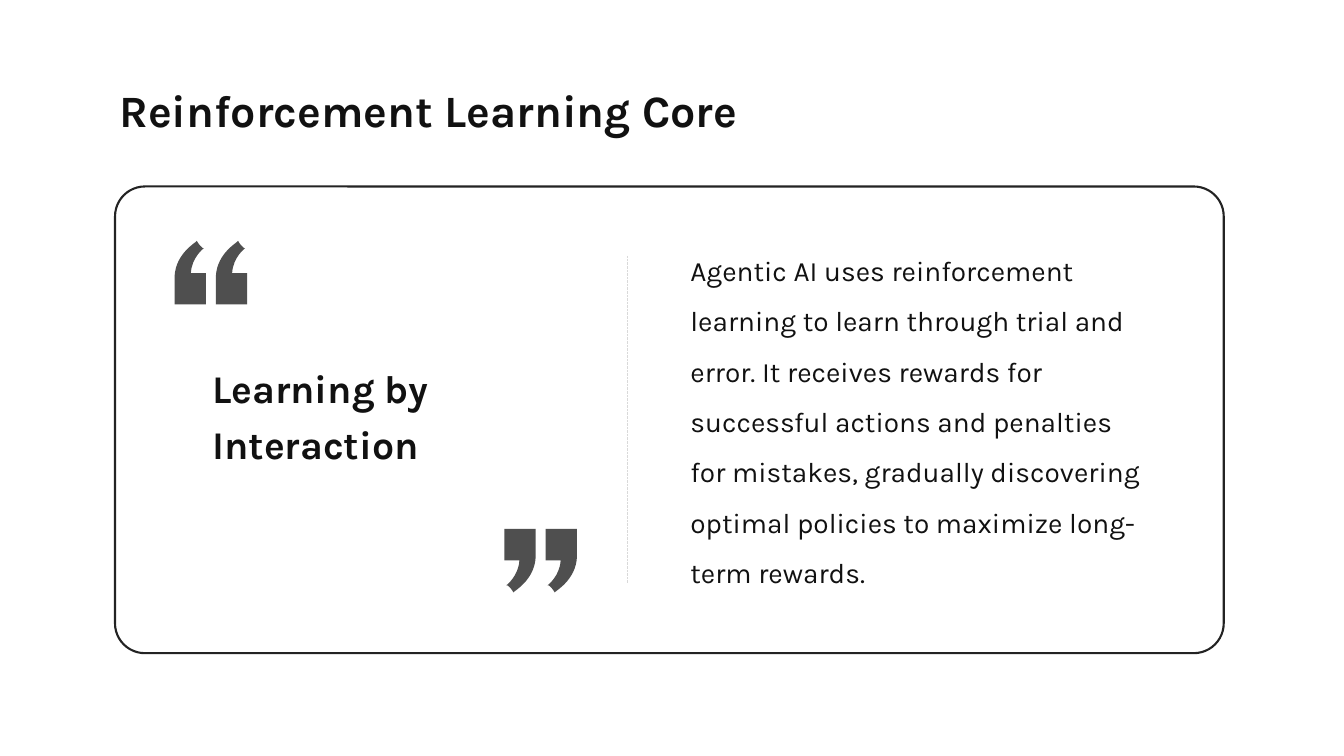
from dataclasses import dataclass

from lxml import etree
from pptx import Presentation
from pptx import util as u
from pptx.dml.color import RGBColor
from pptx.enum import dml, shapes, text
from pptx.oxml.ns import qn
from pptx.slide import Slide

Point = tuple[float, float]


@dataclass(frozen=True)
class Theme:
    ink: RGBColor = RGBColor(0x11, 0x11, 0x11)
    frame: RGBColor = RGBColor(0x23, 0x23, 0x23)
    divider: RGBColor = RGBColor(0xD9, 0xD9, 0xD9)
    font: str = "Karla"
    title_size: int = 32
    heading_size: int = 28
    body_size: int = 20


@dataclass(frozen=True)
class TextBlock:
    left: float
    top: float
    width: float
    height: float
    words: str
    size: int
    bold: bool = False
    spacing: float = 1.0
    anchor: text.MSO_ANCHOR = text.MSO_ANCHOR.MIDDLE


@dataclass(frozen=True)
class QuotePair:
    left: float
    top: float
    rotation: int


THEME = Theme()
MARK_PITCH = 1.04

TEXT_BLOCKS = [
    TextBlock(2.76, 1.96, 29.26, 1.4, "Reinforcement Learning Core",
              THEME.title_size, bold=True, anchor=text.MSO_ANCHOR.TOP),
    TextBlock(5.1, 8.94, 8.76, 2.84, "Learning by Interaction",
              THEME.heading_size, bold=True, spacing=1.2),
    TextBlock(17.15, 5.96, 12.14, 8.89,
              "Agentic AI uses reinforcement learning to learn through trial and error. "
              "It receives rewards for successful actions and penalties for mistakes, "
              "gradually discovering optimal policies to maximize long-term rewards.",
              THEME.body_size, spacing=1.5),
]
QUOTE_PAIRS = [QuotePair(4.4, 6.07, 180), QuotePair(12.71, 13.33, 0)]

# Closing quote mark in centimetres, from the tip of its tail
QUOTE_MARK: list[Point] = [
    (0.23, 1.6), (0.2, 1.55),
    (0.18, 1.5), (0.13, 1.47), (0.08, 1.42),
    (0.05, 1.42),
    (0.05, 1.42), (0.36, 1.19), (0.38, 0.79),
    (0, 0.79), (0, 0), (0.79, 0), (0.79, 0.71),
    (0.76, 1.3), (0.23, 1.57), (0.23, 1.6),
]
# Where each curve's two control points and its end begin in the mark
CURVE_STARTS = (2, 6, 13)


def add_text(page: Slide, block: TextBlock) -> None:
    box = page.shapes.add_textbox(u.Cm(block.left), u.Cm(block.top),
                                  u.Cm(block.width), u.Cm(block.height))
    frame = box.text_frame
    frame_format = {"word_wrap": True, "vertical_anchor": block.anchor,
                    "auto_size": text.MSO_AUTO_SIZE.SHAPE_TO_FIT_TEXT}
    for name, value in frame_format.items():
        setattr(frame, name, value)
    para = frame.paragraphs[0]
    para.line_spacing = block.spacing
    span = para.add_run()
    span.text = block.words
    font_format = {"name": THEME.font, "size": u.Pt(block.size), "bold": block.bold}
    for name, value in font_format.items():
        setattr(span.font, name, value)
    span.font.color.rgb = THEME.ink


def add_quote_mark(page: Slide, left: float, top: float, rotation: int) -> None:
    outline = [(u.Cm(left + x), u.Cm(top + y)) for x, y in QUOTE_MARK]
    builder = page.shapes.build_freeform(*outline[0])
    builder.add_line_segments(outline[1:], close=True)
    mark = builder.convert_to_shape()
    mark.rotation = rotation
    mark.shadow.inherit = False
    mark.line.fill.background()
    mark.fill.solid()
    mark.fill.fore_color.rgb = THEME.frame
    color = mark._element.spPr.find(qn("a:solidFill")).find(qn("a:srgbClr"))
    etree.SubElement(color, qn("a:alpha"), val="80000")

    # Join each curve's three points into one cubic segment
    segments = list(next(mark._element.iter(qn("a:path"))))
    for start in CURVE_STARTS:
        bend = etree.Element(qn("a:cubicBezTo"))
        segments[start].addprevious(bend)
        for segment in segments[start:start + 3]:
            bend.append(segment[0])
            segment.getparent().remove(segment)


def add_divider(page: Slide) -> None:
    x = u.Cm(15.8)
    divider = page.shapes.add_connector(shapes.MSO_CONNECTOR.STRAIGHT,
                                        x, u.Cm(6.45), x, u.Cm(14.68))
    divider.line.color.rgb = THEME.divider
    divider.line.width = u.Pt(0.14)
    divider.line.dash_style = dml.MSO_LINE.DASH
    etree.SubElement(divider._element.spPr, qn("a:effectLst"))


def add_card(page: Slide) -> None:
    card = page.shapes.add_shape(shapes.MSO_SHAPE.ROUNDED_RECTANGLE,
                                 u.Cm(2.9), u.Cm(4.7), u.Cm(27.94), u.Cm(11.76))
    card.adjustments[0] = 0.064
    card.shadow.inherit = False
    card.fill.background()
    card.line.color.rgb = THEME.frame
    card.line.width = u.Pt(1.5)


def main() -> None:
    deck = Presentation()
    deck.slide_width, deck.slide_height = u.Cm(33.87), u.Cm(19.05)
    page = deck.slides.add_slide(deck.slide_layouts[6])

    # Divider and quote marks inside the card
    add_divider(page)
    for pair in QUOTE_PAIRS:
        for column in range(2):
            add_quote_mark(page, pair.left + column * MARK_PITCH, pair.top, pair.rotation)

    # Card frame
    add_card(page)

    # Title, heading and body
    for block in TEXT_BLOCKS:
        add_text(page, block)

    deck.save("out.pptx")


if __name__ == "__main__":
    main()
